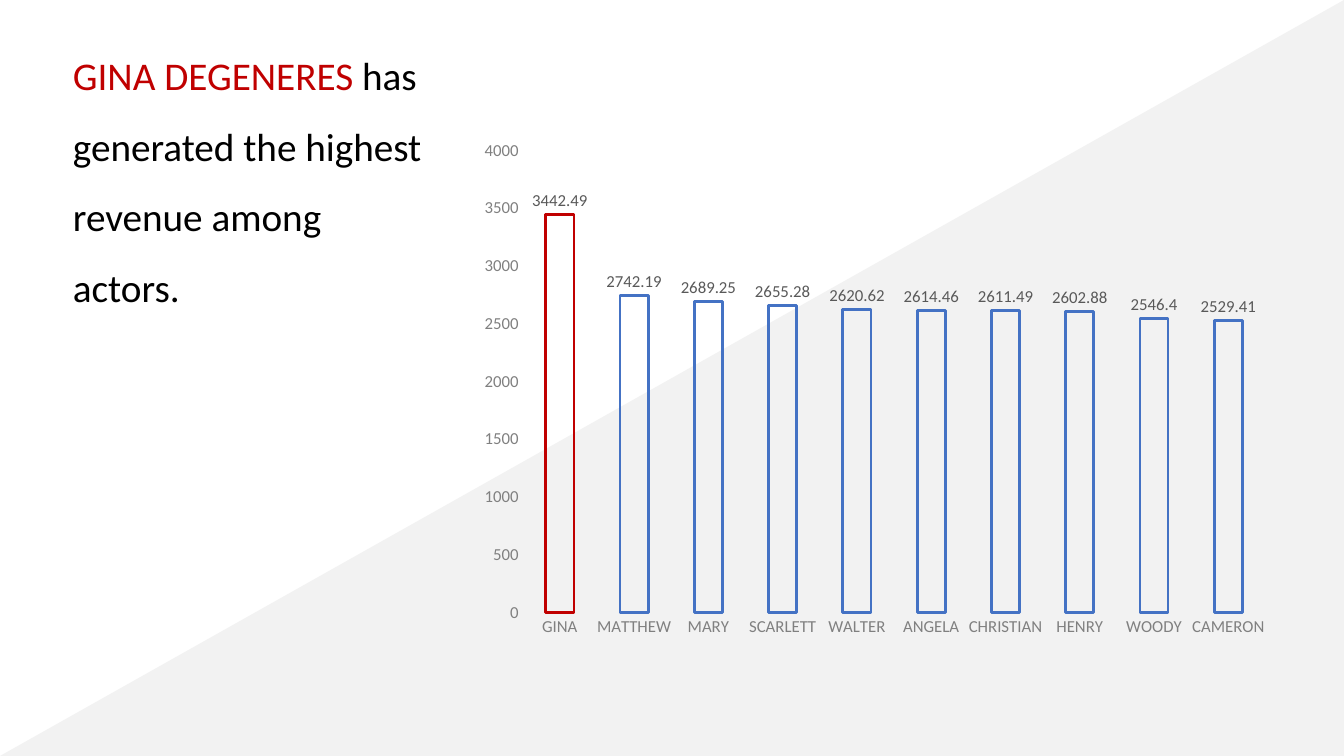
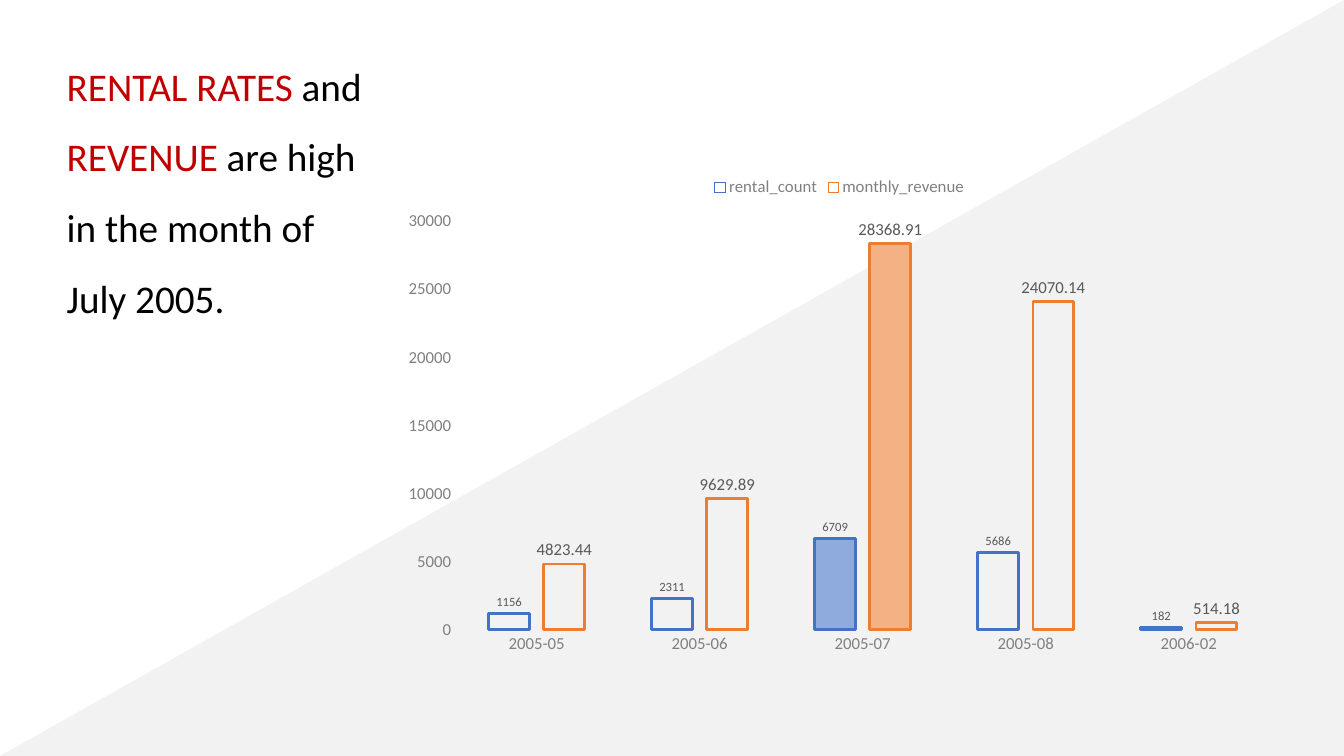
"""Build two slides that pair a short finding with an outlined column chart."""
from lxml import etree
from pptx import Presentation
from pptx import util as u
from pptx.chart.data import CategoryChartData
from pptx.dml.color import RGBColor
from pptx.enum import chart as charts, shapes, text
from pptx.oxml.ns import qn

PX = 9525
WIDTH, HEIGHT = 1280, 720
FONT = "Calibri"
BLACK = RGBColor(0x00, 0x00, 0x00)
RED = RGBColor(0xC0, 0x00, 0x00)
GREY = RGBColor(0x80, 0x80, 0x80)
DARK_GREY = RGBColor(0x59, 0x59, 0x59)
PALE_GREY = RGBColor(0xF2, 0xF2, 0xF2)
BLUE = RGBColor(0x44, 0x72, 0xC4)
LIGHT_BLUE = RGBColor(0x8F, 0xAA, 0xDC)
ORANGE = RGBColor(0xED, 0x7D, 0x31)
LIGHT_ORANGE = RGBColor(0xF4, 0xB1, 0x83)


def px(*lengths):
    """Turn pixel lengths into EMU."""
    return [u.Emu(length * PX) for length in lengths]


def style_font(font, size, color):
    """Apply the shared typeface with a size and colour."""
    font.name = FONT
    font.size = u.Pt(size)
    font.color.rgb = color


def style_column(column_format, outline, fill=None):
    """Outline a column and fill it only when a colour is given."""
    if fill is None:
        column_format.fill.background()
    else:
        column_format.fill.solid()
        column_format.fill.fore_color.rgb = fill
    column_format.line.color.rgb = outline
    column_format.line.width = u.Pt(2)


def add_base_slide(presentation):
    """Add a blank slide with the pale diagonal half."""
    slide = presentation.slides.add_slide(presentation.slide_layouts[6])
    triangle = slide.shapes.add_shape(
        shapes.MSO_SHAPE.ISOSCELES_TRIANGLE, *px(0, 0, WIDTH, HEIGHT))
    triangle.adjustments[0] = 1
    triangle.shadow.inherit = False
    triangle.fill.solid()
    triangle.fill.fore_color.rgb = PALE_GREY
    triangle.line.fill.background()
    return slide


def add_finding(slide, box, runs):
    """Write the finding as one paragraph of coloured runs."""
    frame = slide.shapes.add_textbox(*px(*box)).text_frame
    frame.word_wrap = True
    frame.auto_size = text.MSO_AUTO_SIZE.SHAPE_TO_FIT_TEXT
    paragraph = frame.paragraphs[0]
    paragraph.line_spacing = 1.5
    for wording, color in runs:
        run = paragraph.add_run()
        run.text = wording
        style_font(run.font, 28, color)


def style_axis(axis):
    """Keep only the grey tick labels of an axis."""
    axis.has_major_gridlines = False
    axis.major_tick_mark = charts.XL_TICK_MARK.NONE
    axis.minor_tick_mark = charts.XL_TICK_MARK.NONE
    axis.format.line.fill.background()
    style_font(axis.tick_labels.font, 12, GREY)


def add_column_chart(slide, box, categories, series_values, top, step):
    """Add a clustered column chart with the shared style."""
    data = CategoryChartData()
    data.categories = categories
    for name, values in series_values:
        data.add_series(name, values)
    chart = slide.shapes.add_chart(
        charts.XL_CHART_TYPE.COLUMN_CLUSTERED, *px(*box), data).chart
    style_font(chart.font, 10, BLACK)
    chart.has_title = False
    chart.has_legend = False
    style_axis(chart.category_axis)
    style_axis(chart.value_axis)
    chart.value_axis.minimum_scale = 0
    chart.value_axis.maximum_scale = top
    chart.value_axis.major_unit = step
    plot = chart.plots[0]
    plot.vary_by_categories = False
    plot.gap_width = 164
    plot.overlap = -35
    return chart


def style_series(series, outline, label_size):
    """Draw a series as hollow columns with values above."""
    series.invert_if_negative = False
    style_column(series.format, outline)
    labels = series.data_labels
    labels.show_value = True
    labels.position = charts.XL_LABEL_POSITION.OUTSIDE_END
    style_font(labels.font, label_size, DARK_GREY)


def place_plot(chart, x, y, w, h):
    """Fix the inner plot area as fractions of the chart."""
    area = chart.plots[0]._element.getparent()
    for old in area.findall(qn("c:layout")):
        area.remove(old)
    layout = etree.Element(qn("c:layout"))
    manual = etree.SubElement(layout, qn("c:manualLayout"))
    settings = {"layoutTarget": "inner", "xMode": "edge", "yMode": "edge",
                "x": x, "y": y, "w": w, "h": h}
    for tag, value in settings.items():
        etree.SubElement(manual, qn(f"c:{tag}")).set("val", str(value))
    area.insert(0, layout)


def add_legend(chart):
    """Show a grey legend above the plot."""
    chart.has_legend = True
    chart.legend.position = charts.XL_LEGEND_POSITION.TOP
    chart.legend.include_in_layout = False
    style_font(chart.legend.font, 12, GREY)


def build_actor_slide(presentation):
    """Show revenue by actor with the leader in red."""
    slide = add_base_slide(presentation)
    actors = ["GINA", "MATTHEW", "MARY", "SCARLETT", "WALTER", "ANGELA",
              "CHRISTIAN", "HENRY", "WOODY", "CAMERON"]
    revenue = [3442.49, 2742.19, 2689.25, 2655.28, 2620.62, 2614.46,
               2611.49, 2602.88, 2546.4, 2529.41]
    chart = add_column_chart(slide, (444, 127, 769, 537), actors,
                             [("Series 1", revenue)], 4000, 500)
    place_plot(chart, 0.07, 0.03, 0.92, 0.82)
    series = chart.plots[0].series[0]
    style_series(series, BLUE, 12)
    style_column(series.points[0].format, RED)
    add_finding(slide, (60, 22, 359, 275), [
        ("GINA DEGENERES ", RED),
        ("has generated the highest revenue among actors.", BLACK)])


def build_month_slide(presentation):
    """Show rentals and revenue by month with the peak filled."""
    slide = add_base_slide(presentation)
    months = ["2005-05", "2005-06", "2005-07", "2005-08", "2006-02"]
    rentals = [1156, 2311, 6709, 5686, 182]
    revenue = [4823.44, 9629.89, 28368.91, 24070.14, 514.18]
    chart = add_column_chart(
        slide, (372, 158, 855, 474), months,
        [("rental_count", rentals), ("monthly_revenue", revenue)], 30000, 5000)
    add_legend(chart)
    looks = [(BLUE, LIGHT_BLUE, 9), (ORANGE, LIGHT_ORANGE, 12)]
    peak = months.index("2005-07")
    for series, (outline, fill, size) in zip(chart.plots[0].series, looks):
        style_series(series, outline, size)
        style_column(series.points[peak].format, outline, fill)
    add_finding(slide, (54, 32, 320, 275), [
        ("RENTAL RATES ", RED), ("and ", BLACK), ("REVENUE", RED),
        (" are high in the month of July 2005.", BLACK)])


def main():
    """Build and save the presentation."""
    presentation = Presentation()
    presentation.slide_width, presentation.slide_height = px(WIDTH, HEIGHT)
    build_actor_slide(presentation)
    build_month_slide(presentation)
    presentation.save("out.pptx")


if __name__ == "__main__":
    main()
